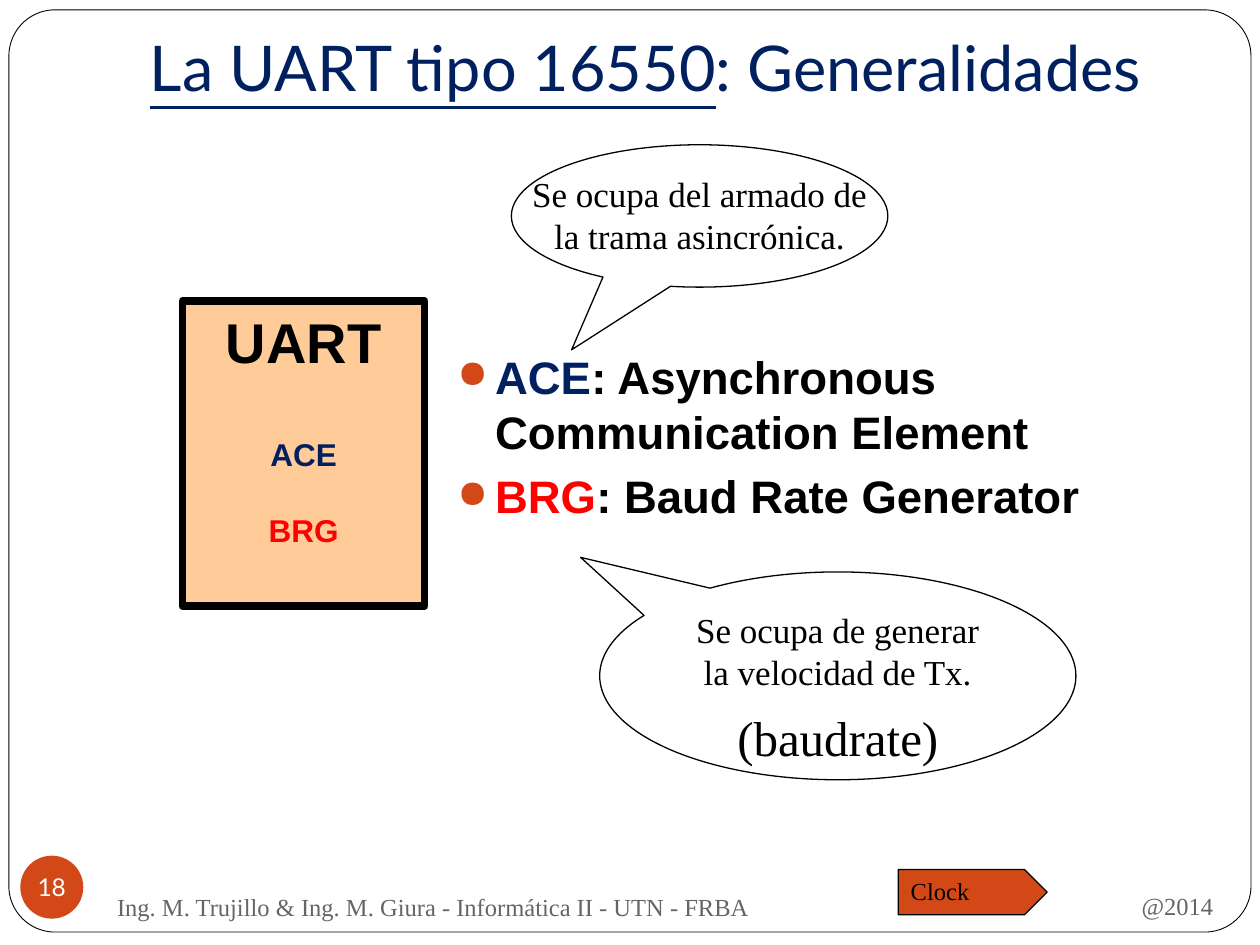
from dataclasses import dataclass
from typing import Optional

import pptx
import pptx.dml.color
import pptx.enum.shapes
import pptx.enum.text
import pptx.oxml
import pptx.oxml.ns
import pptx.util

Cm = pptx.util.Cm
Pt = pptx.util.Pt
SHAPE = pptx.enum.shapes.MSO_SHAPE
ALIGN = pptx.enum.text.PP_ALIGN
ANCHOR = pptx.enum.text.MSO_ANCHOR

COLOURS = {
    "white": "FFFFFF",
    "black": "000000",
    "navy": "002060",
    "red": "FF0000",
    "grey": "696464",
    "orange": "D34817",
    "peach": "FFCC99",
}
SERIF, SANS, TITLE_FONT = "Times New Roman", "Arial", "Lato"


@dataclass
class Run:
    text: str
    size: float
    font: str = SERIF
    colour: str = "black"
    bold: bool = False
    underline: bool = False


@dataclass
class Para:
    runs: list[Run]
    align: ALIGN = ALIGN.CENTER
    before: float = 0
    bullet: bool = False


@dataclass
class Box:
    """A shape, or a plain text box when kind is None; lengths in cm."""
    place: tuple[float, float, float, float]
    paras: list[Para]
    kind: Optional[SHAPE] = None
    adjust: tuple[float, ...] = ()
    fill: Optional[str] = None
    line: float = 0
    anchor: ANCHOR = ANCHOR.TOP
    wrap: bool = True
    margins: tuple[float, float, float, float] = (0.25, 0.13, 0.25, 0.13)


def rgb(name: str) -> pptx.dml.color.RGBColor:
    return pptx.dml.color.RGBColor.from_string(COLOURS[name])


def add_bullet(para) -> None:
    properties = para._p.get_or_add_pPr()
    properties.set("marL", str(Cm(0.76)))
    properties.set("indent", str(-Cm(0.76)))
    namespace = pptx.oxml.ns.nsdecls("a")
    for xml in (
        f'<a:buClr {namespace}><a:srgbClr val="{COLOURS["orange"]}"/></a:buClr>',
        f'<a:buSzPct {namespace} val="85000"/>',
        f'<a:buChar {namespace} char="●"/>',
    ):
        properties.append(pptx.oxml.parse_xml(xml))


def write_text(frame, box: Box) -> None:
    frame.word_wrap = box.wrap
    frame.vertical_anchor = box.anchor
    (frame.margin_left, frame.margin_top,
     frame.margin_right, frame.margin_bottom) = map(Cm, box.margins)
    for index, content in enumerate(box.paras):
        para = frame.add_paragraph() if index else frame.paragraphs[0]
        para.alignment = content.align
        para.space_before = Pt(content.before)
        if content.bullet:
            add_bullet(para)
        for part in content.runs:
            span = para.add_run()
            span.text = part.text
            span.font.size = Pt(part.size)
            span.font.name = part.font
            span.font.bold = part.bold
            span.font.underline = part.underline
            span.font.color.rgb = rgb(part.colour)


def draw(page, box: Box) -> None:
    place = map(Cm, box.place)
    if box.kind is None:
        shape = page.shapes.add_textbox(*place)
    else:
        shape = page.shapes.add_shape(box.kind, *place)
        shape.shadow.inherit = False
        for index, value in enumerate(box.adjust):
            shape.adjustments[index] = value
        if box.fill:
            shape.fill.solid()
            shape.fill.fore_color.rgb = rgb(box.fill)
        else:
            shape.fill.background()
        if box.line:
            shape.line.color.rgb = rgb("black")
            shape.line.width = Pt(box.line)
        else:
            shape.line.fill.background()
    write_text(shape.text_frame, box)


def callout(place: tuple[float, float, float, float],
            tip: tuple[float, float], paras: list[Para]) -> Box:
    return Box(place, paras, SHAPE.OVAL_CALLOUT, tip, line=0.75, wrap=False)


def footer(place: tuple[float, float, float, float], text: str, align: ALIGN) -> Box:
    return Box(place, [Para([Run(text, 14, colour="grey")], align)],
               anchor=ANCHOR.MIDDLE)


def definition(short: str, meaning: str, colour: str) -> Para:
    return Para([Run(short, 26, SANS, colour, bold=True),
                 Run(meaning, 26, SANS, bold=True)], ALIGN.LEFT, 5.8, bullet=True)


BOXES = [
    # Page frame
    Box((0.18, 0.2, 25.04, 18.59), [], SHAPE.ROUNDED_RECTANGLE, (0.05,), "white", 0.5),
    # Title
    Box((2.77, 0.43, 23.52, 1.91),
        [Para([Run("La UART tipo 16550", 36, TITLE_FONT, "navy", underline=True),
               Run(": Generalidades", 36, TITLE_FONT, "navy")], ALIGN.LEFT)],
        anchor=ANCHOR.BOTTOM, margins=(0.25, 0.13, 0.25, 0.25)),
    # Footer
    footer((17.83, 17.6, 6.88, 1.32), "@2014", ALIGN.RIGHT),
    footer((2.11, 17.65, 14.96, 1.27),
           "Ing. M. Trujillo & Ing. M. Giura - Informática II - UTN - FRBA", ALIGN.LEFT),
    # Definitions
    Box((8.97, 6.91, 15.75, 5.82),
        [definition("ACE", ": Asynchronous Communication Element", "navy"),
         definition("BRG", ": Baud Rate Generator", "red")]),
    # UART block
    Box((3.68, 6.07, 4.88, 6.15),
        [Para([Run("UART", 32, SANS, bold=True)]),
         Para([Run("ACE", 18, SANS, "navy", bold=True)], before=34.4),
         Para([Run("BRG", 18, SANS, "red", bold=True)], before=21.7)],
        SHAPE.RECTANGLE, fill="peach", line=4.5),
    # Callouts
    callout((10.31, 2.92, 7.59, 2.87), (-0.34, 0.94),
            [Para([Run("Se ocupa del armado de", 20)]),
             Para([Run("la trama asincrónica.", 20)])]),
    callout((12.09, 11.53, 9.6, 4.19), (-0.54, -0.57),
            [Para([Run("Se ocupa de generar", 20)]),
             Para([Run("la velocidad de Tx.", 20)]),
             Para([Run("(baudrate)", 28)], before=8.4)]),
    # Clock tag
    Box((18.11, 17.53, 3, 0.91), [Para([Run("Clock", 14)], ALIGN.LEFT)],
        SHAPE.PENTAGON, (0.5,), "orange", 0.75, wrap=False),
    # Page number
    Box((0.41, 17.25, 1.27, 1.27), [Para([Run("18", 14, TITLE_FONT, "white")])],
        SHAPE.OVAL, fill="orange", anchor=ANCHOR.MIDDLE, wrap=False,
        margins=(0, 0, 0, 0)),
]


def main() -> None:
    deck = pptx.Presentation()
    deck.slide_width, deck.slide_height = Cm(25.4), Cm(19.05)
    page = deck.slides.add_slide(deck.slide_layouts[6])
    for box in BOXES:
        draw(page, box)
    deck.save("out.pptx")


if __name__ == "__main__":
    main()
